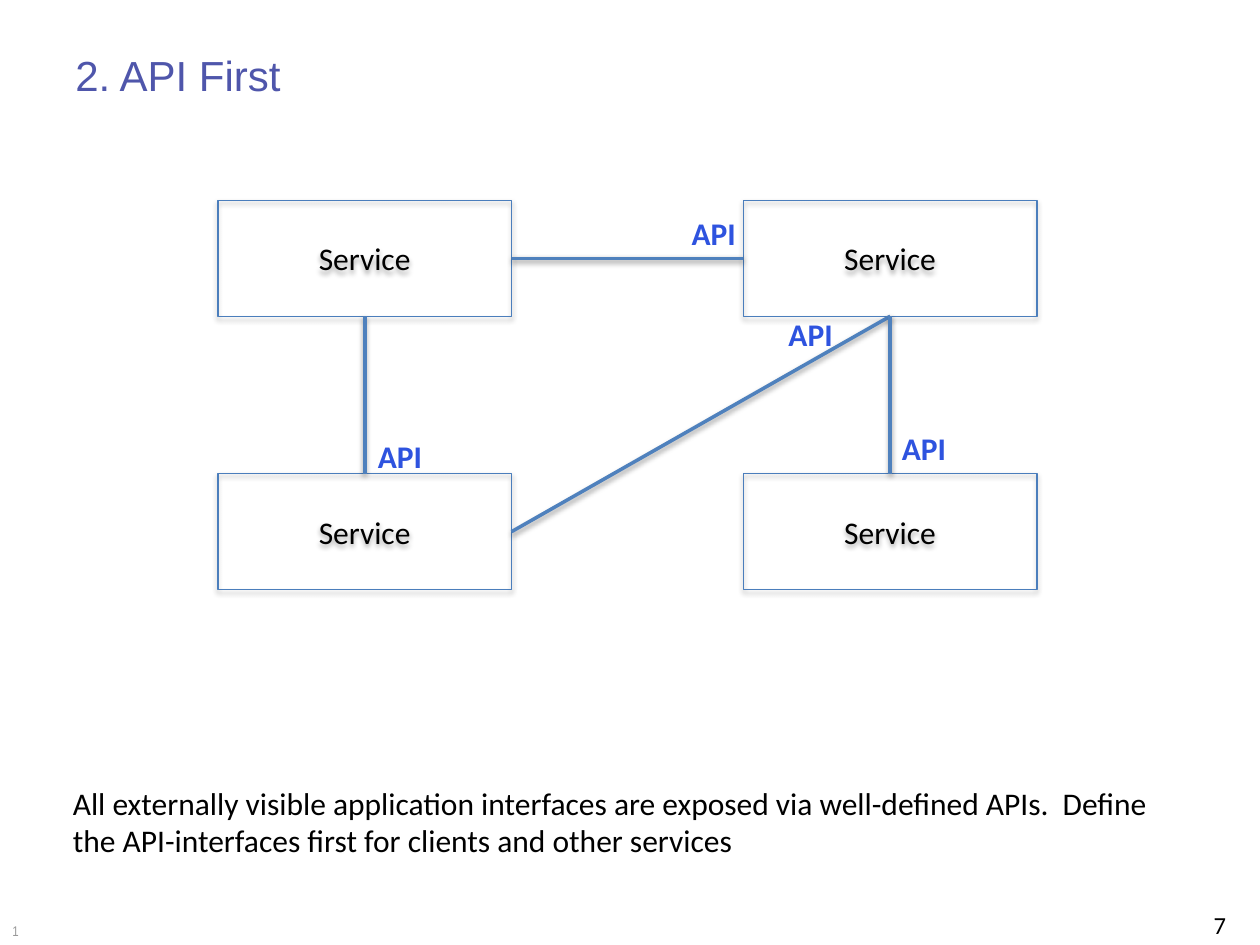
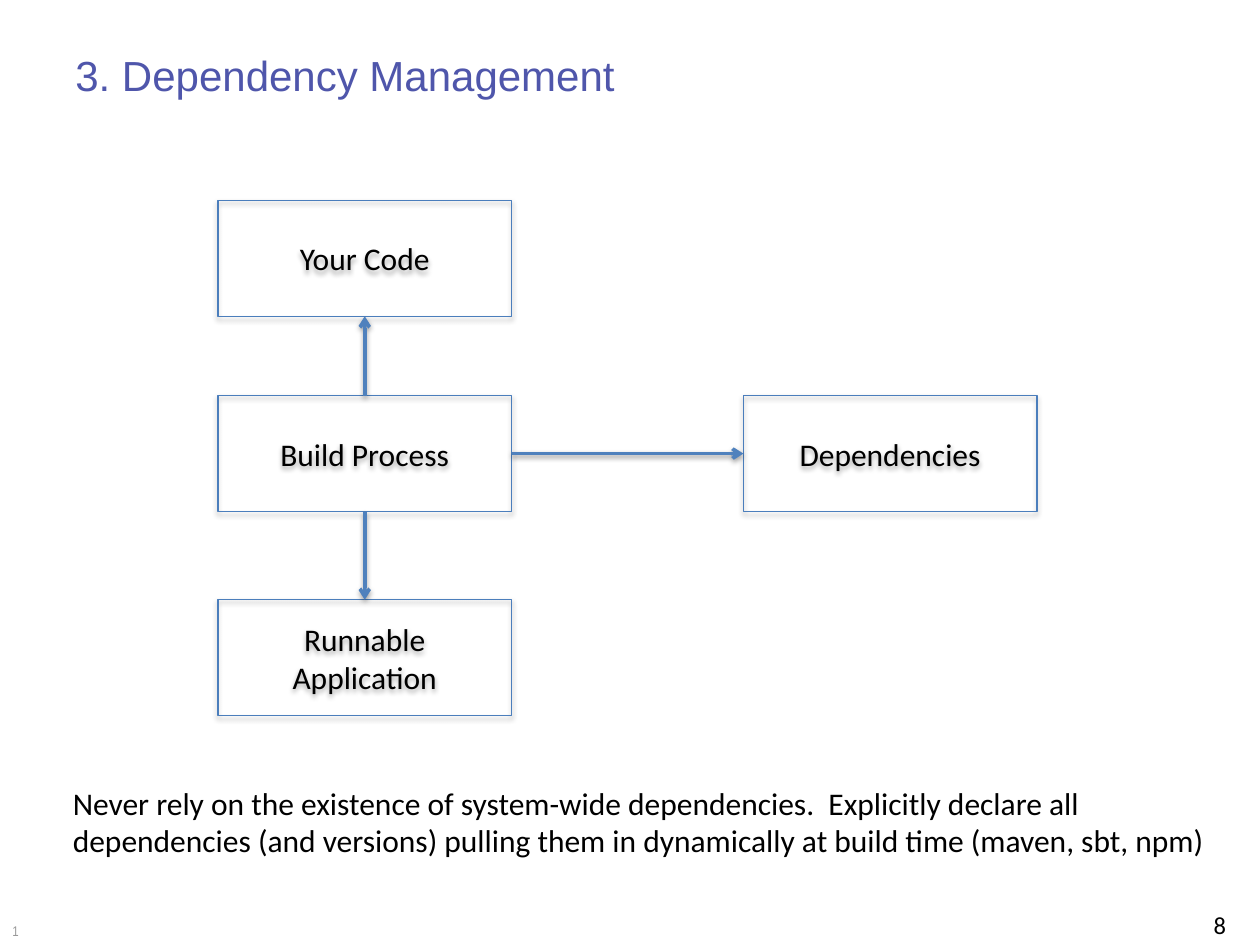
from lxml.etree import SubElement
from pptx import Presentation
from pptx.dml.color import RGBColor
from pptx.enum.shapes import MSO_CONNECTOR as Connector, MSO_SHAPE as Shape
from pptx.enum.text import MSO_ANCHOR as Anchor, PP_ALIGN as Align
from pptx.oxml.ns import qn
from pptx.util import Inches, Pt

COLORS = {
    "title": "4F56AB",
    "text": "000000",
    "muted": "999999",
    "api": "2E53DF",
    "box_line": "4B7EBC",
    "link": "4F81BD",
    "shadow": "000000",
}

# Diagram grid: two columns of equal boxes
LEFT, RIGHT = 1.73, 5.9
BOX_WIDTH, BOX_HEIGHT = 2.33, 0.92

# Connection sites of a rectangle
TOP, LEFT_SIDE, BOTTOM, RIGHT_SIDE = range(4)


class Deck:
    """Holds the presentation, its style and the current slide."""

    def __init__(self):
        self.presentation = Presentation()
        self.presentation.slide_width = Inches(10)
        self.presentation.slide_height = Inches(7.5)
        self.slide = None

    def color(self, name):
        return RGBColor.from_string(COLORS[name])

    def format_text(self, text_frame, size, color, font, bold, align):
        for paragraph in text_frame.paragraphs:
            paragraph.alignment = align
            for run in paragraph.runs:
                run.font.name = font
                run.font.size = Pt(size)
                run.font.bold = bold
                run.font.color.rgb = self.color(color)

    def text(self, text, left, top, width, height, size=18, color="text",
             font="Calibri", bold=False, align=Align.LEFT, margin_top=0.05):
        shape = self.slide.shapes.add_textbox(
            Inches(left), Inches(top), Inches(width), Inches(height))
        text_frame = shape.text_frame
        text_frame.word_wrap = True
        text_frame.vertical_anchor = Anchor.TOP
        text_frame.margin_top = Inches(margin_top)
        text_frame.text = text
        self.format_text(text_frame, size, color, font, bold, align)

    def add_shadow(self, shape, distance, opacity):
        properties = shape._element.spPr
        effects = SubElement(properties, qn("a:effectLst"))
        shadow = SubElement(
            effects, qn("a:outerShdw"), blurRad=str(Pt(3.1)),
            dist=str(Pt(distance)), dir="5400000", rotWithShape="0")
        color = SubElement(shadow, qn("a:srgbClr"), val=COLORS["shadow"])
        SubElement(color, qn("a:alpha"), val=str(opacity * 1000))

    def box(self, text, left, top):
        shape = self.slide.shapes.add_shape(
            Shape.RECTANGLE, Inches(left), Inches(top),
            Inches(BOX_WIDTH), Inches(BOX_HEIGHT))
        shape.fill.background()
        shape.line.color.rgb = self.color("box_line")
        shape.line.width = Pt(0.75)
        self.add_shadow(shape, distance=1.8, opacity=35)
        text_frame = shape.text_frame
        text_frame.word_wrap = True
        text_frame.vertical_anchor = Anchor.MIDDLE
        text_frame.text = text
        self.format_text(text_frame, 18, "text", "Calibri", False, Align.CENTER)
        return shape

    def link(self, start, start_site, end, end_site, arrow=False):
        connector = self.slide.shapes.add_connector(Connector.STRAIGHT, 0, 0, 0, 0)
        connector.begin_connect(start, start_site)
        connector.end_connect(end, end_site)
        connector.line.color.rgb = self.color("link")
        connector.line.width = Pt(2)
        if arrow:
            line = connector.line._get_or_add_ln()
            SubElement(line, qn("a:tailEnd"), type="arrow")
        self.add_shadow(connector, distance=1.6, opacity=38)

    def api_label(self, left, top):
        self.text("API", left, top, 0.66, 0.4, color="api", bold=True)

    def new_slide(self, title, page, summary):
        self.slide = self.presentation.slides.add_slide(
            self.presentation.slide_layouts[6])
        self.text(title, 0.5, 0.3, 9, 1.25, size=24, color="title",
                  font="Arial", margin_top=0.09)
        self.text(page, 7.5, 7.17, 2.33, 0.23, size=14, align=Align.RIGHT)
        self.text("1", 0, 7.27, 7.33, 0.23, size=8, color="muted",
                  font="Arial Narrow")
        self.text(summary, 0.48, 6.17, 9.2, 0.71)


def api_first(deck):
    deck.new_slide(
        "2. API First", "7",
        "All externally visible application interfaces are exposed via "
        "well-defined APIs.  Define\v"
        "the API-interfaces first for clients and other services")

    # Services
    upper_left, lower_left, upper_right, lower_right = [
        deck.box("Service", left, top)
        for left in (LEFT, RIGHT) for top in (1.59, 3.76)]

    # Links between services
    deck.link(upper_left, RIGHT_SIDE, upper_right, LEFT_SIDE)
    deck.link(upper_left, BOTTOM, lower_left, TOP)
    deck.link(upper_right, BOTTOM, lower_left, RIGHT_SIDE)
    deck.link(upper_right, BOTTOM, lower_right, TOP)

    # API at the called end of each link
    for left, top in [(2.9, 3.42), (5.39, 1.65), (6.16, 2.45), (7.06, 3.36)]:
        deck.api_label(left, top)


def dependency_management(deck):
    deck.new_slide(
        "3. Dependency Management", "8",
        "Never rely on the existence of system-wide dependencies.  "
        "Explicitly declare all\v"
        "dependencies (and versions) pulling them in dynamically at build "
        "time (maven, sbt, npm)")

    # Build steps
    code = deck.box("Your Code", LEFT, 1.59)
    build = deck.box("Build Process", LEFT, 3.14)
    dependencies = deck.box("Dependencies", RIGHT, 3.14)
    application = deck.box("Runnable Application", LEFT, 4.76)

    # Arrows out of the build process
    deck.link(build, TOP, code, BOTTOM, arrow=True)
    deck.link(build, RIGHT_SIDE, dependencies, LEFT_SIDE, arrow=True)
    deck.link(build, BOTTOM, application, TOP, arrow=True)


def main():
    deck = Deck()
    api_first(deck)
    dependency_management(deck)
    deck.presentation.save("out.pptx")


if __name__ == "__main__":
    main()
